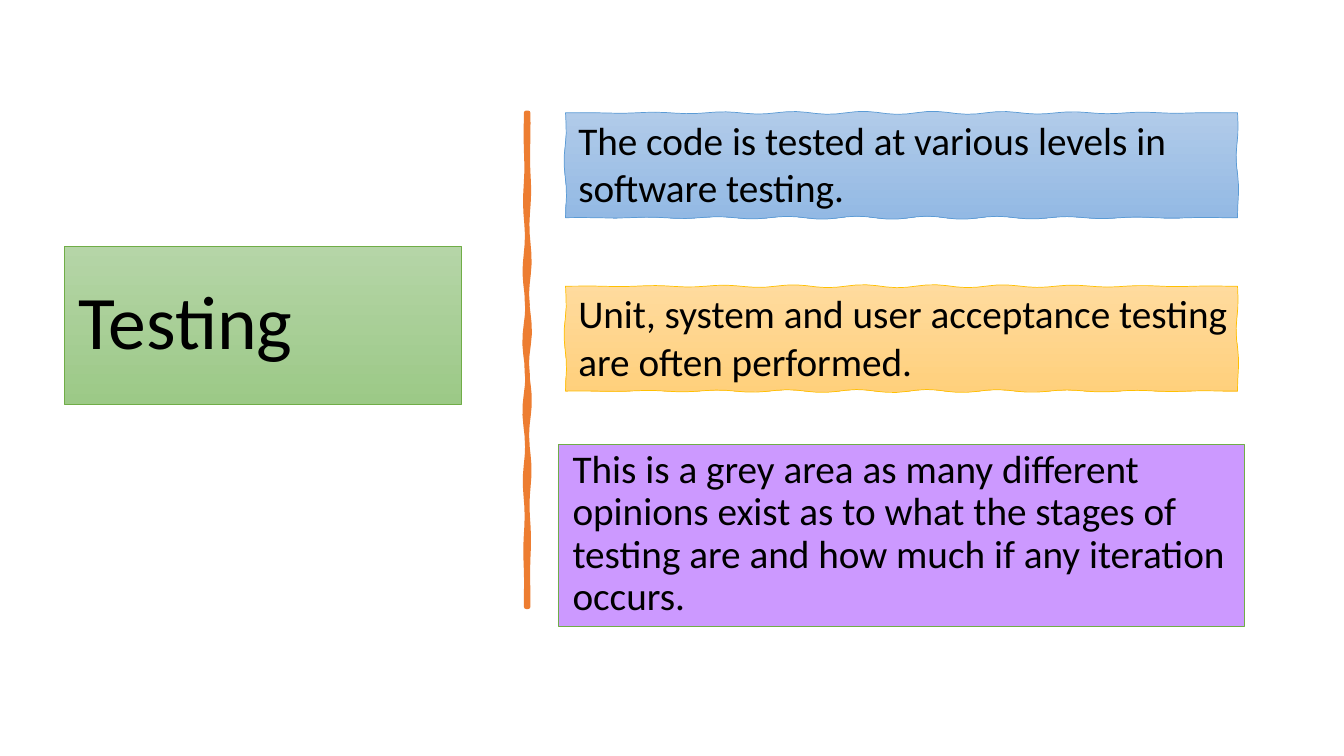
import math

import pptx
import pptx.util
import pptx.dml.color
import pptx.enum.shapes
import pptx.enum.text

RGB = pptx.dml.color.RGBColor
BLACK = RGB(0x00, 0x00, 0x00)
ORANGE = RGB(0xED, 0x7D, 0x31)
PURPLE = RGB(0xCC, 0x99, 0xFF)
GREEN = RGB(0x70, 0xAD, 0x47)
GREENS = (RGB(0xB5, 0xD5, 0xA7), RGB(0x9C, 0xC9, 0x87))
BLUE = RGB(0x5B, 0x9B, 0xD5)
BLUES = (RGB(0xB1, 0xCB, 0xE9), RGB(0x93, 0xB9, 0xE4))
GOLD = RGB(0xFF, 0xC0, 0x00)
GOLDS = (RGB(0xFF, 0xDB, 0x9E), RGB(0xFF, 0xD0, 0x7C))

WIDTH = pptx.util.Inches(13.33)
HEIGHT = pptx.util.Inches(7.5)
COL = WIDTH / 100
ROW = HEIGHT / 100
WAVE = pptx.util.Inches(0.015)
STEP = pptx.util.Inches(0.1)

TOP = 14.93
LEFT = 42.08
GAP = 22.93
NOTES = (
    ("The code is tested at various levels in software testing.", BLUES, BLUE),
    ("Unit, system and user acceptance testing are often performed.", GOLDS, GOLD),
)


def place(x, y, w, h):
    """Turn columns and rows into slide lengths."""
    return [round(n) for n in (x * COL, y * ROW, w * COL, h * ROW)]


def plain(slide, *cell):
    kind = pptx.enum.shapes.MSO_SHAPE.RECTANGLE
    return slide.shapes.add_shape(kind, *place(*cell))


def rough(slide, *cell):
    """Add a box whose edges waver as if drawn by hand."""
    x, y, w, h = place(*cell)
    ends = [(x, y), (x + w, y), (x + w, y + h), (x, y + h)]
    dots = []
    for side, (ax, ay) in enumerate(ends):
        bx, by = ends[(side + 1) % 4]
        size = math.hypot(bx - ax, by - ay)
        count = max(1, round(size / STEP))
        for i in range(count):
            t = i / count
            bend = WAVE * math.sin(i * 0.9 + side) * math.sin(math.pi * t)
            dots.append((ax + (bx - ax) * t + bend * (by - ay) / size,
                         ay + (by - ay) * t - bend * (bx - ax) / size))
    form = slide.shapes.build_freeform(*dots[0], scale=1.0)
    form.add_line_segments(dots[1:], close=True)
    return form.convert_to_shape()


def paint(shape, fill, line, width=0.5):
    """Fill with one colour, or with a pair that blends downwards."""
    shape.shadow.inherit = False
    if isinstance(fill, RGB):
        shape.fill.solid()
        shape.fill.fore_color.rgb = fill
    else:
        shape.fill.gradient()
        shape.fill.gradient_angle = 270
        for stop, tone in zip(shape.fill.gradient_stops, fill):
            stop.color.rgb = tone
    shape.line.color.rgb = line
    shape.line.width = pptx.util.Pt(width)


def write(shape, text, size=28, space=1.0, anchor="TOP"):
    frame = shape.text_frame
    frame.text = text
    frame.word_wrap = True
    frame.margin_left = pptx.util.Inches(0.14)
    frame.vertical_anchor = pptx.enum.text.MSO_ANCHOR[anchor]
    line = frame.paragraphs[0]
    line.alignment = pptx.enum.text.PP_ALIGN.LEFT
    line.line_spacing = space
    font = line.runs[0].font
    font.name = "Calibri"
    font.size = pptx.util.Pt(size)
    font.color.rgb = BLACK


def main():
    deck = pptx.Presentation()
    deck.slide_width, deck.slide_height = WIDTH, HEIGHT
    slide = deck.slides.add_slide(deck.slide_layouts[6])

    title = plain(slide, 4.8, 32.53, 29.55, 20.93)
    paint(title, GREENS, GREEN)
    write(title, "Testing", 54, 0.9, "MIDDLE")

    bar = rough(slide, 39.15, TOP, 0.15, 65.33)
    paint(bar, ORANGE, ORANGE, 3.25)

    grey = plain(slide, 41.55, 58.8, 51.07, 24)
    paint(grey, PURPLE, GREEN)
    write(grey, "This is a grey area as many different opinions exist as to what "
          "the stages of testing are and how much if any iteration occurs.",
          space=0.9)

    for i, (text, fill, line) in enumerate(NOTES):
        note = rough(slide, LEFT, TOP + i * GAP, 50, 13.87)
        paint(note, fill, line)
        write(note, text)

    deck.save("out.pptx")


if __name__ == "__main__":
    main()
